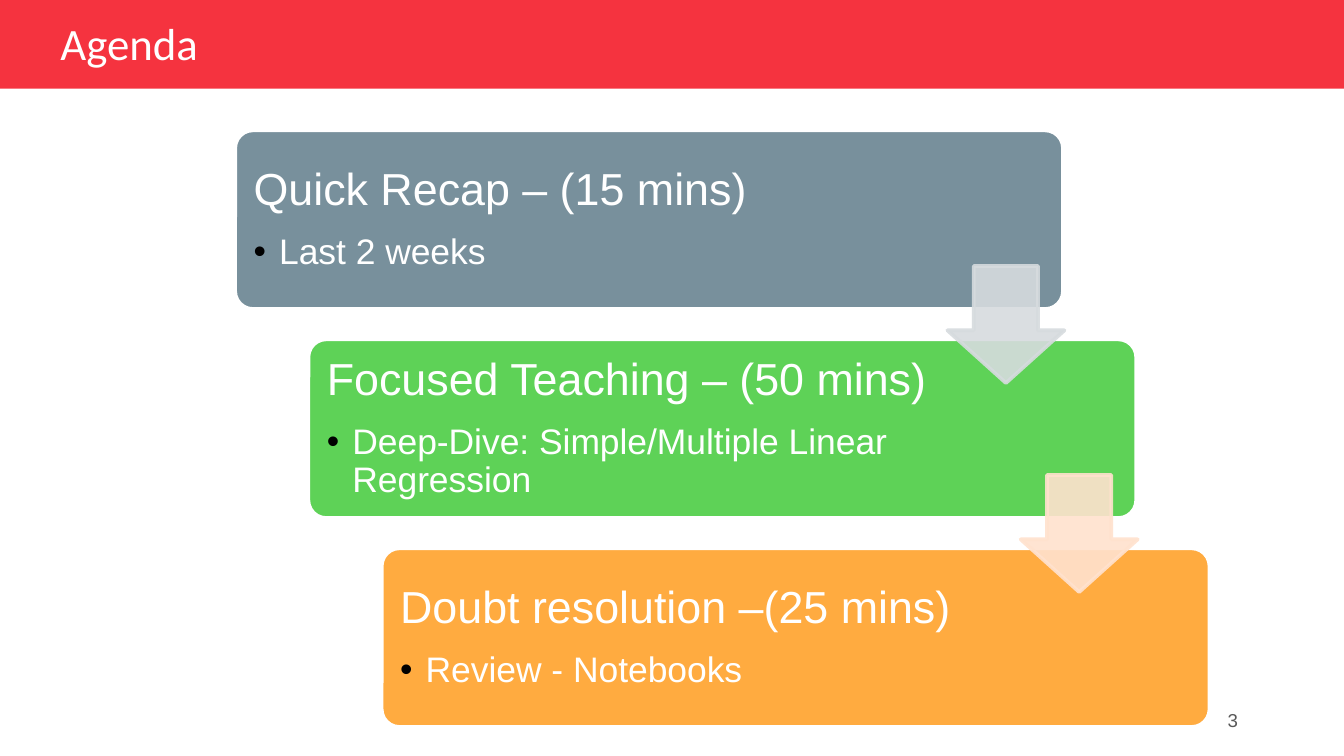
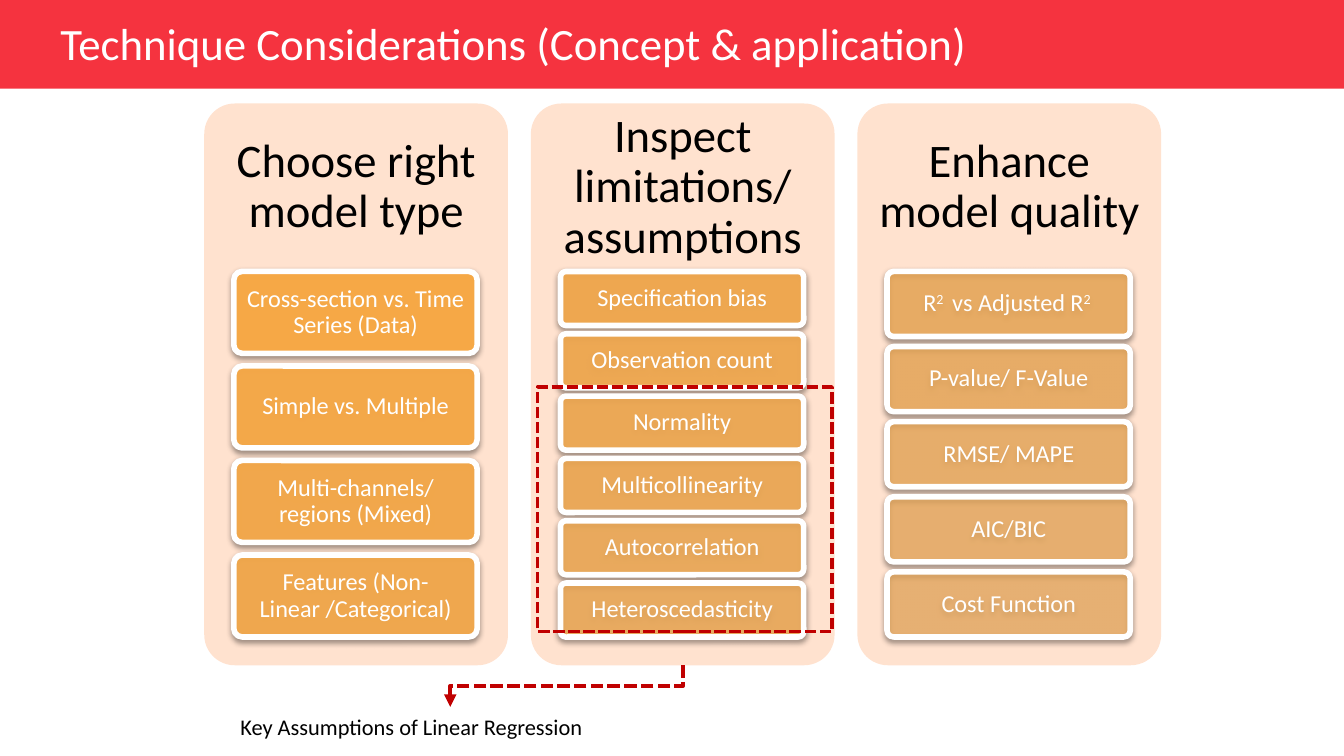
from lxml.etree import SubElement
from pptx import Presentation
from pptx.dml.color import RGBColor
from pptx.enum.dml import MSO_LINE
from pptx.enum.shapes import MSO_CONNECTOR, MSO_SHAPE
from pptx.enum.text import MSO_ANCHOR, MSO_AUTO_SIZE, PP_ALIGN
from pptx.oxml.ns import qn
from pptx.util import Inches, Pt

COLOURS = {
    "band": "F5333F", "white": "FFFFFF", "black": "000000", "number": "595959",
    "slate": "78909C", "green": "5ED257", "orange": "FFAB40",
    "pale slate": "D6DBDE", "pale orange": "FFE2CE", "panel": "FFE2CF",
    "highlight": "C00000",
}
CELL = 0.1  # inches; the slide is 100 columns by 56.25 rows
COLUMNS, ROWS = 100, 56.25

AGENDA = [
    ("Quick Recap – (15 mins)", "Last 2 weeks", "slate"),
    ("Focused Teaching – (50 mins)",
     "Deep-Dive: Simple/Multiple Linear Regression", "green"),
    ("Doubt resolution –(25 mins)", "Review - Notebooks", "orange"),
]
# A caret marks the start and end of superscript text.
CONSIDERATIONS = [
    ("Choose right model type",
     ["Cross-section vs. Time Series (Data)", "Simple vs. Multiple",
      "Multi-channels/ regions (Mixed)", "Features (Non-Linear /Categorical)"]),
    ("Inspect limitations/ assumptions",
     ["Specification bias", "Observation count", "Normality",
      "Multicollinearity", "Autocorrelation", "Heteroscedasticity"]),
    ("Enhance model quality",
     ["R^2 ^ vs Adjusted R^2 ^", "P-value/ F-Value", "RMSE/ MAPE",
      "AIC/BIC", "Cost Function"]),
]


def cells(*counts):
    return [Inches(count * CELL) for count in counts]


def colour(name):
    return RGBColor.from_string(COLOURS[name])


def add_xml(parent, tag, **attributes):
    return SubElement(parent, qn(tag), {key: str(value) for key, value in attributes.items()})


def set_opacity(fill_owner, percent):
    """Make the solid fill directly below the given element partly transparent."""
    solid = fill_owner.find(qn("a:solidFill"))
    add_xml(solid[0], "a:alpha", val=round(percent * 1000))


class Deck:
    def __init__(self):
        self.presentation = Presentation()
        self.presentation.slide_width, self.presentation.slide_height = cells(COLUMNS, ROWS)
        self.layout = self.presentation.slide_layouts[5]
        self.slide = None

    def start_slide(self, title, title_columns):
        first = self.slide is None
        self.slide = self.presentation.slides.add_slide(self.layout)
        if first:
            self.add_band_to_layout()
        shape = self.slide.shapes.title
        shape.left, shape.top, shape.width, shape.height = cells(3.5, 1.3, title_columns, 4.2)
        self.format_frame(shape.text_frame)
        self.fill_paragraph(shape.text_frame.paragraphs[0], title, 24, "white", spacing=0.9)

    def add_band_to_layout(self):
        band = self.shape(MSO_SHAPE.RECTANGLE, (0, -0.4, COLUMNS, 7), "band")
        self.layout.shapes._spTree.insert(2, band._element)

    def format_frame(self, frame, insets=(0.1, 0.05, 0.1, 0.05), anchor=MSO_ANCHOR.MIDDLE):
        frame.word_wrap = True
        frame.auto_size = MSO_AUTO_SIZE.NONE
        frame.vertical_anchor = anchor
        (frame.margin_left, frame.margin_top,
         frame.margin_right, frame.margin_bottom) = [Inches(inset) for inset in insets]

    def fill_paragraph(self, paragraph, text, size, ink, font="Calibri",
                       align=PP_ALIGN.LEFT, spacing=1.0):
        for index, part in enumerate(text.split("^")):
            if part:
                run = paragraph.add_run()
                run.text = part
                if index % 2:
                    run._r.get_or_add_rPr().set("baseline", "30000")
        paragraph.alignment = align
        paragraph.line_spacing = spacing
        paragraph.font.size = Pt(size)
        paragraph.font.name = font
        paragraph.font.color.rgb = colour(ink)

    def text(self, box, text, size, ink, insets=(0.1, 0.05, 0.1, 0.05),
             anchor=MSO_ANCHOR.MIDDLE, **style):
        frame = self.slide.shapes.add_textbox(*cells(*box)).text_frame
        self.format_frame(frame, insets, anchor)
        self.fill_paragraph(frame.paragraphs[0], text, size, ink, **style)

    def shape(self, kind, box, fill=None, line=None, width=2, opacity=100, adjustments=()):
        shape = self.slide.shapes.add_shape(kind, *cells(*box))
        shape.shadow.inherit = False
        for index, value in enumerate(adjustments):
            shape.adjustments[index] = value
        if fill:
            shape.fill.solid()
            shape.fill.fore_color.rgb = colour(fill)
            if opacity < 100:
                set_opacity(shape._element.spPr, opacity)
        else:
            shape.fill.background()
        if line:
            shape.line.color.rgb = colour(line)
            shape.line.width = Pt(width)
        else:
            shape.line.fill.background()
        return shape

    def rounded(self, box, fill, **style):
        return self.shape(MSO_SHAPE.ROUNDED_RECTANGLE, box, fill, adjustments=[0.1], **style)

    def agenda_card(self, box, heading, detail, fill):
        frame = self.rounded(box, fill, line="white").text_frame
        self.format_frame(frame, (0.1, 0.1, 1.51, 0.1))
        first, second = frame.paragraphs[0], frame.add_paragraph()
        self.fill_paragraph(first, heading, 24, "white", font="Arial", spacing=0.9)
        first.space_after = Pt(10)
        self.fill_paragraph(second, detail, 19, "white", font="Arial", spacing=0.9)
        second.level = 1
        self.bullet(second)

    def bullet(self, paragraph):
        properties = paragraph._p.get_or_add_pPr()
        properties.set("marL", str(Inches(0.19)))
        properties.set("indent", str(-Inches(0.19)))
        bullet_colour = add_xml(properties, "a:buClr")
        add_xml(bullet_colour, "a:srgbClr", val=COLOURS["black"])
        add_xml(properties, "a:buFont", typeface="Arial")
        add_xml(properties, "a:buChar", char="•")
        # Default run properties must follow the bullet in the schema order.
        defaults = properties.find(qn("a:defRPr"))
        if defaults is not None:
            properties.append(defaults)

    def step_arrow(self, box, fill):
        arrow = self.shape(MSO_SHAPE.DOWN_ARROW, box, fill, line=fill,
                           opacity=90, adjustments=[0.55, 0.45])
        set_opacity(arrow.line._get_or_add_ln(), 90)

    def item(self, box, label, opacity):
        shape = self.rounded(box, "orange", line="white", width=3, opacity=opacity)
        effects = shape._element.spPr.find(qn("a:effectLst"))
        shadow = add_xml(effects, "a:outerShdw", blurRad=Pt(3.1), dist=Pt(1.6),
                         dir=5400000, rotWithShape=0)
        add_xml(add_xml(shadow, "a:srgbClr", val=COLOURS["black"]), "a:alpha", val=38000)
        self.format_frame(shape.text_frame, (0.04, 0.03, 0.04, 0.03))
        self.fill_paragraph(shape.text_frame.paragraphs[0], label, 13, "white",
                            align=PP_ALIGN.CENTER, spacing=0.9)

    def dashed_box(self, box):
        shape = self.shape(MSO_SHAPE.RECTANGLE, box, line="highlight")
        shape.line.dash_style = MSO_LINE.SQUARE_DOT

    def elbow_down(self, start, end):
        """Draw a dashed elbow arrow that leaves and arrives vertically."""
        centre_x, centre_y = [(a + b) / 2 for a, b in zip(start, end)]
        half_run, half_drop = (start[0] - end[0]) / 2, (end[1] - start[1]) / 2
        connector = self.slide.shapes.add_connector(
            MSO_CONNECTOR.ELBOW,
            *cells(centre_x - half_drop, centre_y - half_run,
                   centre_x + half_drop, centre_y + half_run))
        properties = connector._element.spPr
        properties.find(qn("a:xfrm")).set("rot", "5400000")
        connector.line.color.rgb = colour("highlight")
        connector.line.width = Pt(2.25)
        connector.line.dash_style = MSO_LINE.SQUARE_DOT
        add_xml(connector.line._get_or_add_ln(), "a:tailEnd", type="triangle")
        add_xml(properties, "a:effectLst")


def build_agenda(deck):
    deck.start_slide("Agenda", 68.1)
    left, top, step_x, step_y = 17.5, 9.7, 5.45, 15.55
    for index, (heading, detail, fill) in enumerate(AGENDA):
        deck.agenda_card((left + index * step_x, top + index * step_y, 61.6, 13.3),
                         heading, detail, fill)
    for index, fill in enumerate(["pale slate", "pale orange"]):
        deck.step_arrow((70.5 + index * step_x, 19.8 + index * step_y, 8.7, 8.7), fill)
    deck.text((70.6, 52.1, 22.5, 3), "3", 10, "number", font="Arial", align=PP_ALIGN.RIGHT)


def build_considerations(deck):
    deck.start_slide("Technique Considerations (Concept & application)", 78)
    top, width, stack_top, stack_height, gap_share = 7.7, 22.6, 20.2, 27.2, 0.154
    fade = 40 / (sum(len(items) for _, items in CONSIDERATIONS) - 1)
    opacity = 90
    for column, (heading, items) in enumerate(CONSIDERATIONS):
        left = 15.2 + column * 24.3
        deck.rounded((left, top, width, 41.8), "panel")
        deck.text((left, top, width, 12.5), heading, 25, "black", insets=[0.1] * 4,
                  align=PP_ALIGN.CENTER, spacing=0.9)
        height = stack_height / (len(items) + gap_share * (len(items) - 1))
        for row, label in enumerate(items):
            item_top = stack_top + row * height * (1 + gap_share)
            deck.item((left + 2.2, item_top, 18.1, height), label, opacity)
            opacity -= fade
    deck.dashed_box((40, 28.8, 21.9, 18.2))
    deck.text((16.9, 52.6, 33.1, 3), "Key Assumptions of Linear Regression", 12, "black",
              anchor=MSO_ANCHOR.TOP)
    deck.elbow_down((50.8, 49.5), (33.5, 52.6))


def main():
    deck = Deck()
    build_agenda(deck)
    build_considerations(deck)
    deck.presentation.save("out.pptx")


if __name__ == "__main__":
    main()
